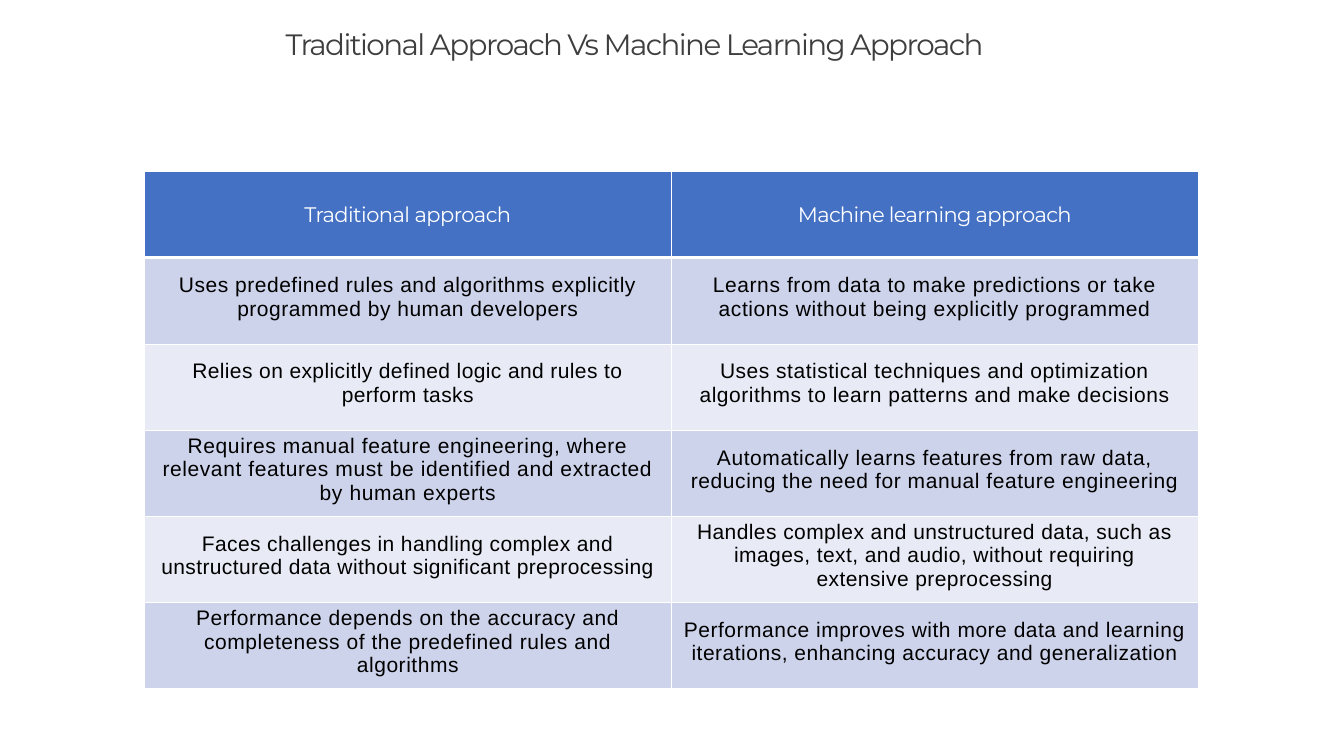
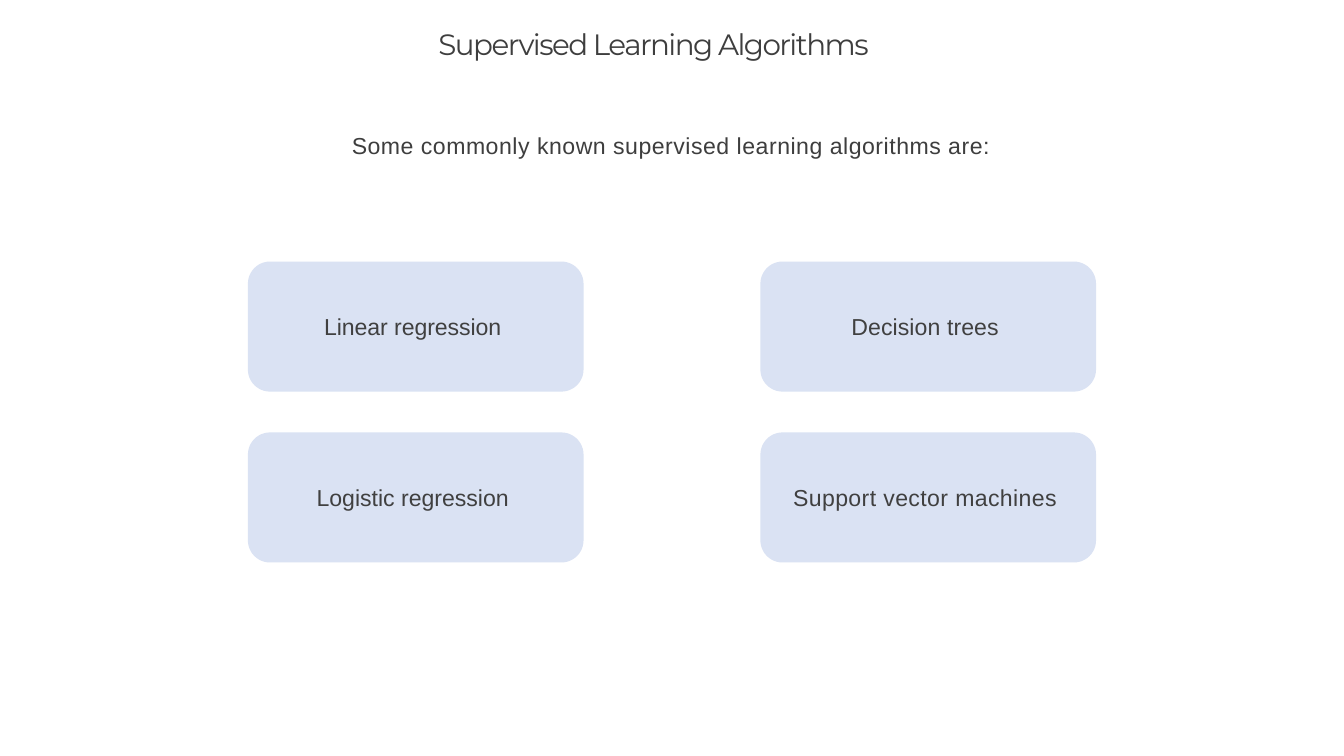
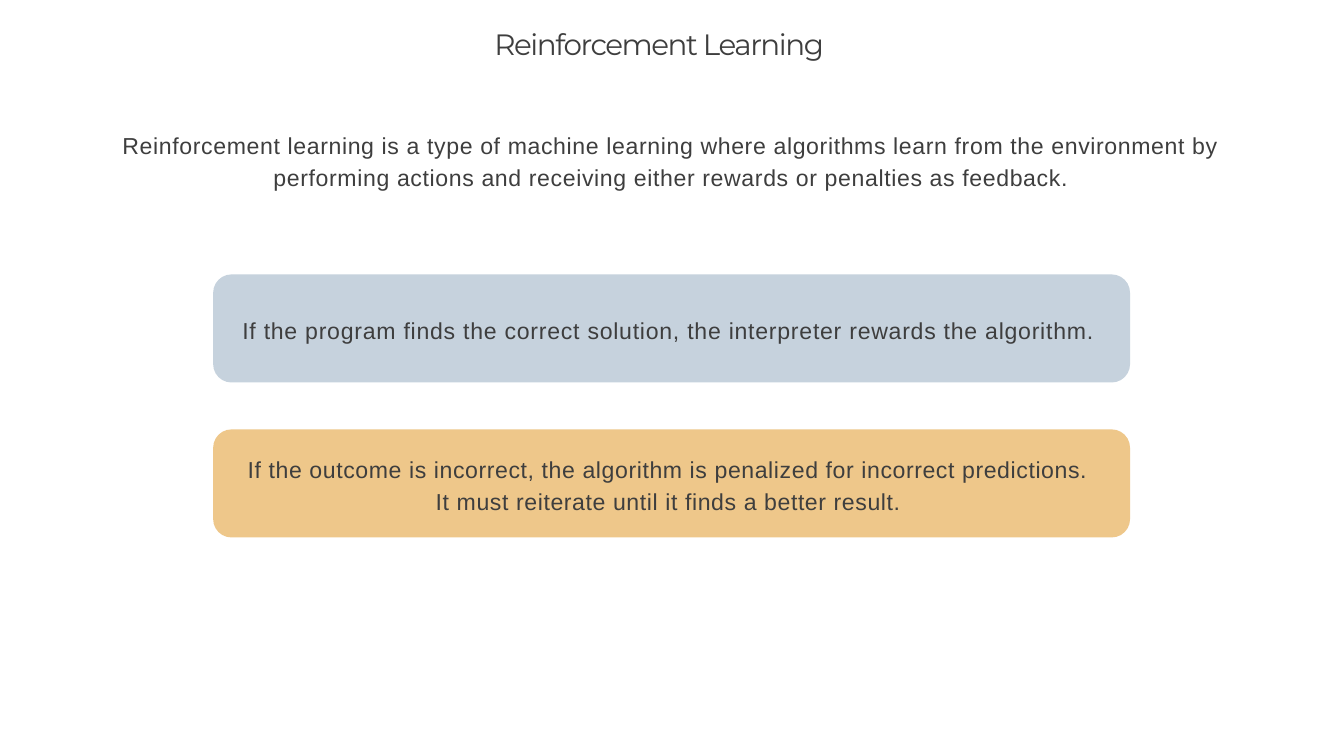
from dataclasses import dataclass

from lxml import etree
from pptx import Presentation
from pptx.dml.color import RGBColor
from pptx.enum.shapes import MSO_SHAPE
from pptx.enum.text import MSO_ANCHOR, MSO_AUTO_SIZE, PP_ALIGN
from pptx.oxml.ns import qn
from pptx.util import Inches, Pt

ROUNDED = MSO_SHAPE.ROUNDED_RECTANGLE
LEFT, CENTER = PP_ALIGN.LEFT, PP_ALIGN.CENTER
TOP, MIDDLE = MSO_ANCHOR.TOP, MSO_ANCHOR.MIDDLE


@dataclass(frozen=True)
class Theme:
    title_font: str = "Montserrat"
    body_font: str = "Arial"
    title_size: int = 28
    body_size: int = 22
    table_size: int = 20
    ink: str = "3E3E3E"
    card_ink: str = "404040"
    black: str = "000000"
    white: str = "FFFFFF"
    header: str = "4471C4"
    rows: tuple = ("CDD3EA", "E8EBF5")
    card: str = "DAE2F3"
    reward: str = "C6D2DD"
    penalty: str = "EEC78A"


THEME = Theme()

COMPARISON_TITLE = ("Traditional Approach Vs Machine Learning Approach", 0, -1.5)
COMPARISON_HEADERS = [("Traditional approach", -0.55), ("Machine learning approach", -0.65)]
COMPARISON_ROWS = [
    [("Uses predefined rules and algorithms explicitly programmed by human developers", 0.3, 0.47),
     ("Learns from data to make predictions or take actions without being explicitly programmed", 0.3, 0.57)],
    [("Relies on explicitly defined logic and rules to perform tasks", 0.4, 0.37),
     ("Uses statistical techniques and optimization algorithms to learn patterns and make decisions", 0.2, 0.49)],
    [("Requires manual feature engineering, where relevant features must be identified "
      "and extracted by human experts", 0.15, 0.57),
     ("Automatically learns features from raw data, reducing the need for manual feature engineering", 0.15, 0.55)],
    [("Faces challenges in handling complex and unstructured data without significant preprocessing", 0.05, 0.37),
     ("Handles complex and unstructured data, such as images, text, and audio, without requiring "
      "extensive preprocessing", 0.25, 0.39)],
    [("Performance depends on the accuracy and completeness of the predefined rules and algorithms", 0.4, 0.51),
     ("Performance improves with more data and learning iterations, enhancing accuracy and generalization",
      0.05, 0.49)],
]

SUPERVISED_TITLE = ("Supervised Learning Algorithms", 2.02, -1.45)
SUPERVISED_INTRO = "Some commonly known supervised learning algorithms are:"
ALGORITHMS = [
    [("Linear regression", -0.05), ("Decision trees", 0.1)],
    [("Logistic regression", 0), ("Support vector machines", 0.4)],
]

REINFORCEMENT_TITLE = ("Reinforcement Learning", 2.76, -1.35)
REINFORCEMENT_INTRO = (
    "Reinforcement learning is a type of machine learning where algorithms learn from the environment by "
    "performing actions and receiving either rewards or penalties as feedback."
)
OUTCOMES = [
    ("If the program finds the correct solution, the interpreter rewards the algorithm.", THEME.reward, 0.75),
    ("If the outcome is incorrect, the algorithm is penalized for incorrect predictions. It must reiterate "
     "until it finds a better result.", THEME.penalty, 0.6),
]


def write(tf, text, font=THEME.body_font, size=THEME.body_size, color=THEME.ink,
          spacing=0, align=CENTER, line_spacing=1):
    p = tf.paragraphs[0]
    p.alignment = align
    p.line_spacing = line_spacing
    r = p.add_run()
    r.text = text
    r.font.name = font
    r.font.size = Pt(size)
    r.font.bold = False
    r.font.color.rgb = RGBColor.from_string(color)
    r.font._element.set("spc", str(round(spacing * 100)))


def set_frame(tf, anchor, left=0, top=0, right=0, bottom=0):
    tf.word_wrap = True
    tf.auto_size = MSO_AUTO_SIZE.NONE
    tf.vertical_anchor = anchor
    tf.margin_left, tf.margin_top = Inches(left), Inches(top)
    tf.margin_right, tf.margin_bottom = Inches(right), Inches(bottom)


def add_slide(prs, title):
    text, indent, spacing = title
    s = prs.slides.add_slide(prs.slide_layouts[5])
    sp = s.shapes.title
    sp.left, sp.top, sp.width, sp.height = map(Inches, (3.78, 0.32, 10.23, 0.51))
    set_frame(sp.text_frame, TOP, left=indent, top=0.02)
    write(sp.text_frame, text, THEME.title_font, THEME.title_size, spacing=spacing, align=LEFT)
    return s


def add_intro(s, text, width, height, spacing):
    left = 8.88 - width / 2
    sp = s.shapes.add_textbox(Inches(left), Inches(1.66), Inches(width), Inches(height))
    set_frame(sp.text_frame, TOP, top=0.02)
    write(sp.text_frame, text, spacing=spacing, line_spacing=1.15)


def add_card(s, text, left, top, width, height, fill, margin=0.0, **fmt):
    sp = s.shapes.add_shape(ROUNDED, Inches(left), Inches(top), Inches(width), Inches(height))
    sp.adjustments[0] = 0.17
    sp.shadow.inherit = False
    sp.fill.solid()
    sp.fill.fore_color.rgb = RGBColor.from_string(fill)
    sp.line.fill.background()
    set_frame(sp.text_frame, MIDDLE, left=margin, right=margin + 0.08)
    write(sp.text_frame, text, **fmt)


def set_cell(cell, text, fill, margin=0.0, bottom=0.0, top_line=1, bottom_line=1, **fmt):
    cell.fill.solid()
    cell.fill.fore_color.rgb = RGBColor.from_string(fill)
    cell.vertical_anchor = MIDDLE
    cell.margin_left = cell.margin_right = Inches(margin)
    cell.margin_top, cell.margin_bottom = 0, Inches(bottom)
    tc_pr = cell._tc.get_or_add_tcPr()
    for i, (side, width) in enumerate(zip("LRTB", (1, 1, top_line, bottom_line))):
        ln = etree.Element(qn(f"a:ln{side}"), w=str(Pt(width)))
        solid = etree.SubElement(ln, qn("a:solidFill"))
        etree.SubElement(solid, qn("a:srgbClr"), val=THEME.white)
        tc_pr.insert(i, ln)
    write(cell.text_frame, text, size=THEME.table_size, **fmt)


def build_comparison(prs):
    s = add_slide(prs, COMPARISON_TITLE)
    n_rows, n_cols = len(COMPARISON_ROWS) + 1, len(COMPARISON_HEADERS)
    col_width, row_height = 6.97, 1.14
    table = s.shapes.add_table(n_rows, n_cols, Inches(1.91), Inches(2.27),
                               Inches(col_width * n_cols), Inches(row_height * n_rows)).table
    for col in table.columns:
        col.width = Inches(col_width)
    for row in table.rows:
        row.height = Inches(row_height)
    for j, (text, spacing) in enumerate(COMPARISON_HEADERS):
        set_cell(table.cell(0, j), text, THEME.header, bottom_line=3,
                 font=THEME.title_font, color=THEME.white, spacing=spacing)
    for i, row in enumerate(COMPARISON_ROWS):
        for j, (text, margin, spacing) in enumerate(row):
            set_cell(table.cell(i + 1, j), text, THEME.rows[i % 2], margin, bottom=0.1,
                     top_line=1 if i else 3, color=THEME.black, spacing=spacing)


def build_supervised(prs):
    s = add_slide(prs, SUPERVISED_TITLE)
    add_intro(s, SUPERVISED_INTRO, 8.57, 0.45, 0.5)
    for i, row in enumerate(ALGORITHMS):
        for j, (text, spacing) in enumerate(row):
            add_card(s, text, 3.28 + j * 6.78, 3.46 + i * 2.26, 4.44, 1.72, THEME.card,
                     color=THEME.card_ink, spacing=spacing)


def build_reinforcement(prs):
    s = add_slide(prs, REINFORCEMENT_TITLE)
    add_intro(s, REINFORCEMENT_INTRO, 14.61, 0.87, 0.62)
    for i, (text, fill, spacing) in enumerate(OUTCOMES):
        add_card(s, text, 2.82, 3.63 + i * 2.05, 12.13, 1.43, fill, margin=0.25,
                 spacing=spacing, line_spacing=1.15)


def main():
    prs = Presentation()
    prs.slide_width, prs.slide_height = Inches(17.78), Inches(10)
    build_comparison(prs)
    build_supervised(prs)
    build_reinforcement(prs)
    prs.save("out.pptx")


if __name__ == "__main__":
    main()
